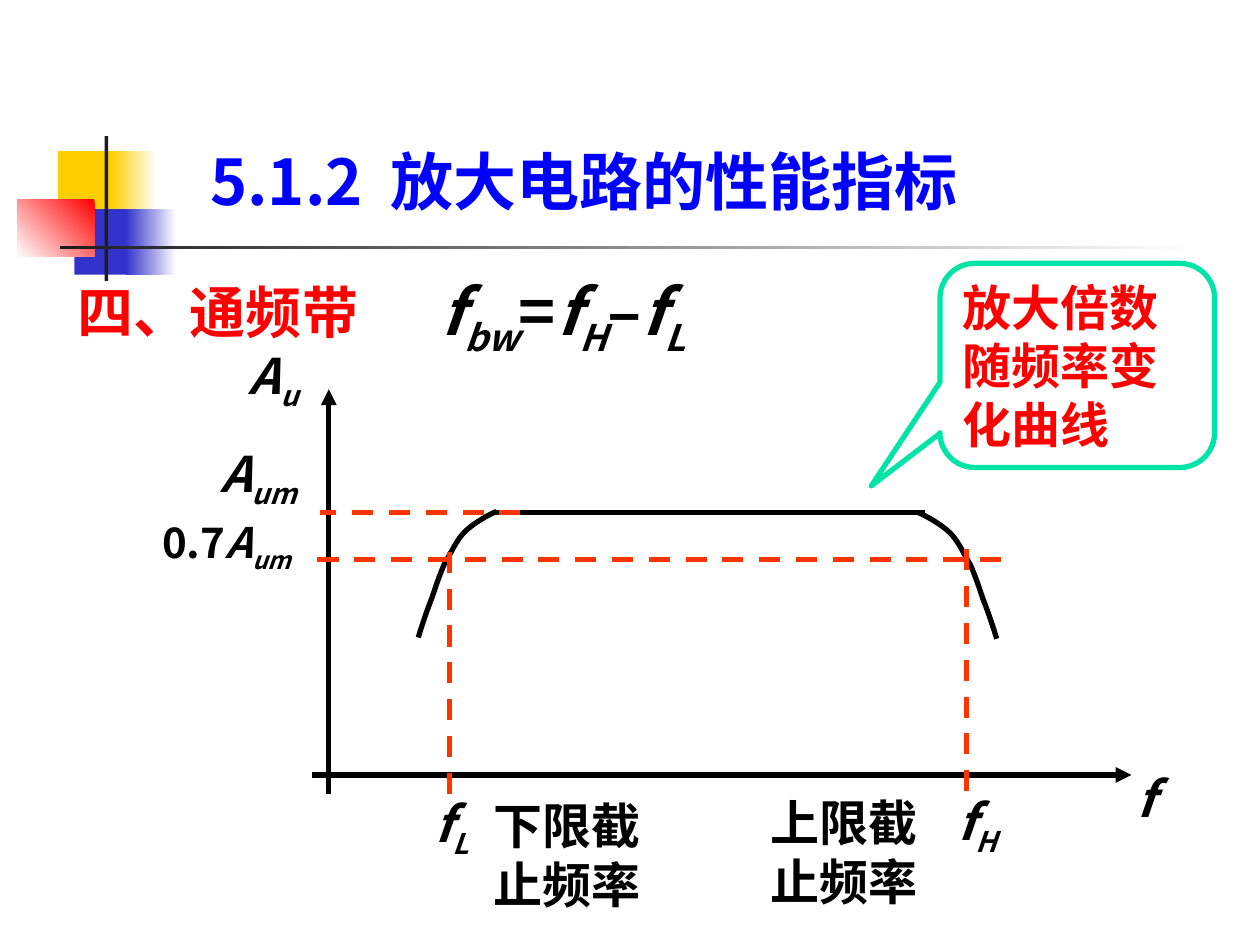
import pptx
import pptx.util
import pptx.dml.color
import pptx.enum.dml
import pptx.enum.shapes
import pptx.enum.text
import pptx.oxml
import pptx.oxml.ns
from dataclasses import dataclass

Inches = pptx.util.Inches
Pt = pptx.util.Pt
Shape = pptx.enum.shapes.MSO_SHAPE
Align = pptx.enum.text.PP_ALIGN
Anchor = pptx.enum.text.MSO_ANCHOR


@dataclass(frozen=True)
class Theme:
    font: str = "Noto Sans CJK SC"
    white: str = "FFFFFF"
    black: str = "000000"
    red: str = "FF0000"
    blue: str = "0000FF"
    dash: str = "FF3300"
    callout: str = "00E4A8"
    gold: str = "FFCF01"
    indigo: str = "3333CC"
    bar: str = "1C1C1C"
    title: int = 36
    heading: int = 32
    body: int = 28
    small: int = 24
    stroke: int = 3


theme = Theme()

ORNAMENTS = [
    ((0.46, 1.2, 0.48, 0.52), (theme.gold,), 0),
    ((0.88, 1.2, 0.36, 0.52), (theme.white, theme.gold), 180),
    ((0.59, 1.66, 0.46, 0.52), (theme.indigo,), 0),
    ((1, 1.66, 0.4, 0.52), (theme.white, theme.indigo), 180),
    ((0.14, 1.58, 0.61, 0.46), (theme.red, theme.white), 225),
    ((0.83, 1.08, 0.03, 1.15), (theme.bar,), 0),
    ((0.48, 1.95, 9, 0.03), (theme.white, theme.bar), 180),
]
SOLID_LINES = [
    ((2.61, 3.09), (2.61, 6.3), "headEnd"),
    ((2.48, 6.15), (8.98, 6.15), "tailEnd"),
    ((3.92, 4.07), (7.34, 4.07), None),
]
DASHED_LINES = [
    ((4.13, 4.07), (2.54, 4.07)),
    ((2.52, 4.44), (8.07, 4.44)),
    ((3.57, 4.38), (3.57, 6.38)),
    ((7.67, 4.36), (7.67, 6.36)),
]
ROLL_OFF = [
    (0, 0), (0.05, 0.02), (0.18, 0.09), (0.25, 0.16),
    (0.32, 0.23), (0.36, 0.33), (0.41, 0.41),
    (0.45, 0.5), (0.48, 0.59), (0.51, 0.68),
    (0.55, 0.78), (0.6, 0.93), (0.62, 1),
]
ROLL_OFF_STARTS = [((3.94, 4.06), -1), ((7.29, 4.07), 1)]
CENTERED_LABELS = [
    ((1.69, 2.69, 0.96, 0.63), [("A", "i"), ("u", "is")], theme.body),
    ((1.44, 3.47, 1.23, 0.63), [("A", "i"), ("um", "is")], theme.body),
    ((1.05, 4.05, 1.5, 0.56), [("0.7", ""), ("A", "i"), ("um", "is")], theme.small),
    ((3.23, 6.25, 0.71, 0.63), [("f", "i"), ("L", "is")], theme.body),
    ((7.4, 6.23, 0.71, 0.63), [("f", "i"), ("H", "is")], theme.body),
]
LEFT_LABELS = [
    ((8.92, 6.05, 1.04, 0.57), [("f", "i")], theme.body, theme.black),
    ((3.82, 6.26, 1.54, 1.04), [("下限截止频率", "")], theme.body, theme.black),
    ((6.02, 6.24, 1.54, 1.04), [("上限截止频率", "")], theme.body, theme.black),
    ((0.52, 2.15, 7.35, 0.64), [("四、通频带", "")], theme.heading, theme.red),
]
BANDWIDTH = [("f", "i"), ("bw", "is"), ("=", ""), ("f", "i"), ("H", "is"),
             ("–", ""), ("f", "i"), ("L", "is")]
TITLE = [("5.1.2", ""), (" ", "w"), ("放大电路的性能指标", "")]


def color(value):
    """Turn a hex value into a colour."""
    return pptx.dml.color.RGBColor.from_string(value)


def add_xml(parent, tag, **attributes):
    """Append a DrawingML element to its parent."""
    element = pptx.oxml.parse_xml(f"<a:{tag} {pptx.oxml.ns.nsdecls('a')}/>")
    for name, value in attributes.items():
        element.set(name, value)
    parent.append(element)


def write(box, runs, size=theme.body, ink=theme.black, align=Align.LEFT, anchor=Anchor.MIDDLE):
    """Write runs flagged i (italic), s (subscript) or w (wide) into a box."""
    frame = box.text_frame
    frame.word_wrap = True
    frame.vertical_anchor = anchor
    para = frame.paragraphs[0]
    para.alignment = align
    for text, flags in runs:
        span = para.add_run()
        span.text = text
        span.font.size = Pt(size)
        span.font.bold = True
        span.font.italic = "i" in flags
        span.font.color.rgb = color(ink)
        span.font.name = theme.font
        properties = span._r.get_or_add_rPr()
        add_xml(properties, "ea", typeface=theme.font)
        if "s" in flags:
            properties.set("baseline", "-25000")
        if "w" in flags:
            properties.set("spc", "800")


def add_text(page, place, runs, **style):
    """Add a text box."""
    write(page.shapes.add_textbox(*map(Inches, place)), runs, **style)


def add_block(page, place, colors, angle):
    """Add a borderless rectangle with a solid or gradient fill."""
    block = page.shapes.add_shape(Shape.RECTANGLE, *map(Inches, place))
    block.shadow.inherit = False
    block.line.fill.background()
    if len(colors) == 1:
        block.fill.solid()
        block.fill.fore_color.rgb = color(colors[0])
        return
    block.fill.gradient()
    block.fill.gradient_angle = angle
    for stop, value in zip(block.fill.gradient_stops, colors):
        stop.color.rgb = color(value)


def stroke(shape, ink):
    """Give a shape its outline."""
    shape.line.color.rgb = color(ink)
    shape.line.width = Pt(theme.stroke)


def add_line(page, start, end, ink=theme.black, arrow=None, dashed=False):
    """Add a straight line, optionally dashed or with an arrowhead."""
    line = page.shapes.add_connector(
        pptx.enum.shapes.MSO_CONNECTOR.STRAIGHT, *map(Inches, start + end))
    stroke(line, ink)
    if dashed:
        line.line.dash_style = pptx.enum.dml.MSO_LINE.DASH
    if arrow:
        add_xml(line.line._get_or_add_ln(), arrow, type="triangle")
    add_xml(line._element.spPr, "effectLst")


def bezier(points, steps=10):
    """Sample a chain of cubic curves."""
    yield points[0]
    for first in range(0, len(points) - 1, 3):
        controls = points[first:first + 4]
        for step in range(1, steps + 1):
            t = step / steps
            weights = ((1 - t) ** 3, 3 * t * (1 - t) ** 2, 3 * t * t * (1 - t), t ** 3)
            yield tuple(sum(w * p[axis] for w, p in zip(weights, controls)) for axis in (0, 1))


def add_roll_off(page, start, direction):
    """Add one falling end of the response curve."""
    points = [(Inches(start[0] + direction * x), Inches(start[1] + y))
              for x, y in bezier(ROLL_OFF)]
    builder = page.shapes.build_freeform(*points[0], scale=1.0)
    builder.add_line_segments(points[1:], close=False)
    curve = builder.convert_to_shape()
    curve.shadow.inherit = False
    curve.fill.background()
    stroke(curve, theme.black)


def add_callout(page):
    """Add the callout that explains the curve."""
    callout = page.shapes.add_shape(
        Shape.ROUNDED_RECTANGULAR_CALLOUT, *map(Inches, (7.46, 2.09, 2.18, 1.62)))
    for index, value in enumerate((-0.75, 0.59, 0.17)):
        callout.adjustments[index] = value
    callout.shadow.inherit = False
    callout.fill.background()
    stroke(callout, theme.callout)
    write(callout, [("放大倍数随频率变化曲线", "")], ink=theme.red)


def main():
    """Build the passband slide."""
    deck = pptx.Presentation()
    deck.slide_width, deck.slide_height = Inches(10), Inches(7.5)
    page = deck.slides.add_slide(deck.slide_layouts[6])
    for place, colors, angle in ORNAMENTS:
        add_block(page, place, colors, angle)
    for start, end, arrow in SOLID_LINES:
        add_line(page, start, end, arrow=arrow)
    for start, direction in ROLL_OFF_STARTS:
        add_roll_off(page, start, direction)
    for start, end in DASHED_LINES:
        add_line(page, start, end, ink=theme.dash, dashed=True)
    for place, runs, size in CENTERED_LABELS:
        add_text(page, place, runs, size=size, align=Align.CENTER)
    for place, runs, size, ink in LEFT_LABELS:
        add_text(page, place, runs, size=size, ink=ink)
    add_text(page, (3.4, 2.11, 2.62, 0.79), BANDWIDTH, size=theme.title)
    add_callout(page)
    add_text(page, (1.57, 1.08, 6.89, 0.7), TITLE, size=theme.title, ink=theme.blue,
             anchor=Anchor.TOP)
    deck.save("out.pptx")


if __name__ == "__main__":
    main()
